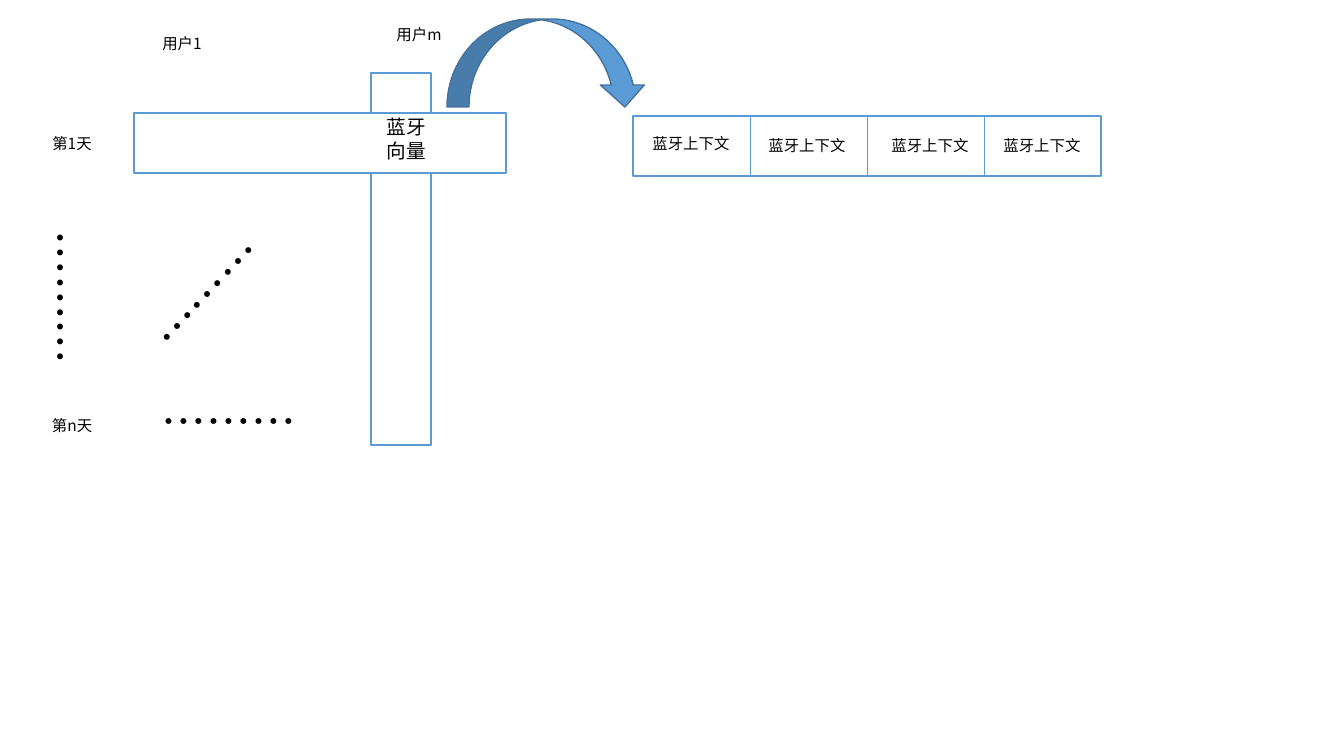
import pptx
import pptx.util
import pptx.dml.color
import pptx.enum.shapes
import pptx.enum.text
import pptx.oxml
import pptx.oxml.ns

SCALE = 914400 / 100.8
COLORS = {"white": "FFFFFF", "blue": "5B9BD5", "arrow edge": "43739E", "text": "000000"}
FONT = "Noto Sans CJK SC"
SHAPE = pptx.enum.shapes.MSO_SHAPE


def emu(*pixels):
    """Turn pixel lengths into EMU."""
    return [pptx.util.Emu(round(p * SCALE)) for p in pixels]


def rgb(name):
    """Look up a colour by name."""
    return pptx.dml.color.RGBColor.from_string(COLORS[name])


class Diagram:
    """Holds the style and draws on the current slide."""

    def __init__(self, slide):
        """Draw everything into one group on the slide."""
        self.shapes = slide.shapes.add_group_shape().shapes

    def block(self, kind, box, fill="white", edge="blue", rotation=0):
        """Add a filled, outlined preset shape."""
        block = self.shapes.add_shape(kind, *emu(*box))
        block.shadow.inherit = False
        block.rotation = rotation
        block.fill.solid()
        block.fill.fore_color.rgb = rgb(fill)
        block.line.color.rgb = rgb(edge)
        block.line.width = pptx.util.Pt(1)

    def divider(self, x, top, bottom):
        """Add a thin vertical line."""
        line = self.shapes.add_connector(
            pptx.enum.shapes.MSO_CONNECTOR.STRAIGHT, *emu(x, top, x, bottom))
        line.line.color.rgb = rgb("blue")
        line.line.width = pptx.util.Pt(0.5)
        effects = pptx.oxml.parse_xml(
            "<a:effectLst %s/>" % pptx.oxml.ns.nsdecls("a"))
        line._element.spPr.append(effects)

    def label(self, text, box, size=11, rotation=0):
        """Add centred text that wraps inside its box."""
        label = self.shapes.add_textbox(*emu(*box))
        label.rotation = rotation
        frame = label.text_frame
        frame.text = text
        frame.word_wrap = True
        frame.auto_size = pptx.enum.text.MSO_AUTO_SIZE.SHAPE_TO_FIT_TEXT
        paragraph = frame.paragraphs[0]
        paragraph.alignment = pptx.enum.text.PP_ALIGN.CENTER
        paragraph.line_spacing = pptx.util.Pt(round(size * 1.2, 1))
        font = paragraph.runs[0].font
        font.size = pptx.util.Pt(size)
        font.color.rgb = rgb("text")
        font.name = FONT
        east_asian = pptx.oxml.parse_xml(
            '<a:ea %s typeface="%s"/>' % (pptx.oxml.ns.nsdecls("a"), FONT))
        font._element.append(east_asian)


deck = pptx.Presentation()
deck.slide_width, deck.slide_height = emu(1344, 756)
diagram = Diagram(deck.slides.add_slide(deck.slide_layouts[6]))

# User column, day row and the cell where they cross
diagram.block(SHAPE.RECTANGLE, (215, 229, 372, 60), rotation=90)
diagram.block(SHAPE.RECTANGLE, (134, 113, 372, 60), rotation=180)
diagram.label("蓝牙向量", (368, 110, 77, 57), size=14)

# Matrix headings
for heading, left, top in (("用户1", 134, 29), ("用户m", 371, 20),
                           ("第1天", 24, 129), ("第n天", 24, 411)):
    diagram.label(heading, (left, top, 96, 29))

# Omitted days and users
for left, top, angle in ((141, 389, 0), (-27, 265, 90), (120, 262, 133.3)):
    diagram.label("………", (left, top, 176, 65), size=32, rotation=angle)

# Bluetooth vector split into four contexts
BAR_LEFT, BAR_TOP, CELL, BAR_HEIGHT = 633, 116, 117, 60
diagram.block(SHAPE.RECTANGLE, (BAR_LEFT, BAR_TOP, 4 * CELL, BAR_HEIGHT), rotation=180)
for index in range(1, 4):
    diagram.divider(BAR_LEFT + index * CELL, BAR_TOP, BAR_TOP + BAR_HEIGHT)
for left, top in ((633, 129), (749, 131), (872, 131), (984, 131)):
    diagram.label("蓝牙上下文", (left, top, 116, 29))

diagram.block(SHAPE.CURVED_DOWN_ARROW, (447, 19, 200, 88), "blue", "arrow edge")

deck.save("out.pptx")
